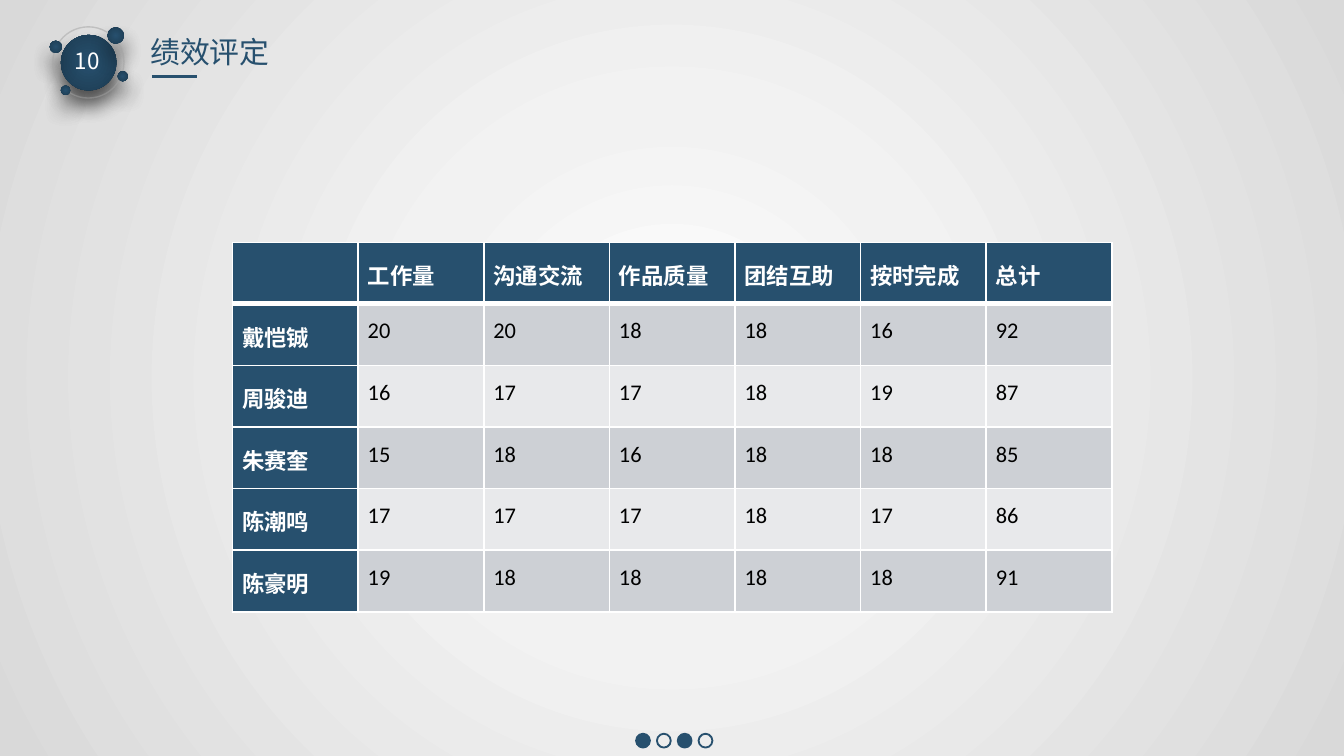
from dataclasses import dataclass

from lxml.etree import SubElement
from pptx import Presentation
from pptx.dml.color import RGBColor
from pptx.enum.shapes import MSO_CONNECTOR, MSO_SHAPE
from pptx.enum.text import MSO_AUTO_SIZE, PP_ALIGN
from pptx.oxml import parse_xml
from pptx.oxml.ns import nsdecls, qn
from pptx.util import Emu, Inches, Pt


@dataclass(frozen=True)
class Theme:
    navy: str = "27506E"
    deep_navy: str = "1D3C52"
    white: str = "FFFFFF"
    black: str = "000000"
    ring: str = "BFBFBF"
    bands: tuple = ("CDD0D5", "E8E9EB")
    backdrop: tuple = ((0, "FFFFFF"), (35, "F2F2F2"), (100, "D9D9D9"))
    heading_font: str = "Noto Sans CJK SC"
    table_font: str = "Calibri"
    title_size: int = 16
    body_size: int = 12


@dataclass(frozen=True)
class Circle:
    left: float
    top: float
    diameter: float


THEME = Theme()
SLIDE_WIDTH = Inches(10)
SLIDE_HEIGHT = Emu(SLIDE_WIDTH * 9 // 16)
BADGE_RING = Circle(3.93, 2, 5.3)
BADGE_BUBBLES = (
    Circle(4.53, 2.6, 4.13),
    Circle(8, 2.03, 1.23),
    Circle(3.7, 3.03, 0.9),
    Circle(4.53, 6.37, 0.7),
    Circle(8.75, 5.3, 0.75),
)
PAGE_DOTS = (True, False, True, False)
HEADERS = ("", "工作量", "沟通交流", "作品质量", "团结互助", "按时完成", "总计")
SCORES = {
    "戴恺铖": (20, 20, 18, 18, 16),
    "周骏迪": (16, 17, 17, 18, 19),
    "朱赛奎": (15, 18, 16, 18, 18),
    "陈潮鸣": (17, 17, 17, 18, 17),
    "陈豪明": (19, 18, 18, 18, 18),
}


def share(percent: float) -> Emu:
    """Turn a percentage of the slide width into a length."""
    return Emu(round(SLIDE_WIDTH * percent / 100))


def color(value: str) -> RGBColor:
    """Turn a hex value into a colour."""
    return RGBColor.from_string(value)


def apply_radial_gradient(element, stops: tuple) -> None:
    """Replace the solid fill of an element with a centred radial gradient."""
    stop_list = "".join(
        f'<a:gs pos="{position * 1000}"><a:srgbClr val="{value}"/></a:gs>'
        for position, value in stops
    )
    gradient = parse_xml(
        f'<a:gradFill {nsdecls("a")} rotWithShape="1"><a:gsLst>{stop_list}</a:gsLst>'
        '<a:path path="circle"><a:fillToRect l="50000" t="50000" r="50000" b="50000"/>'
        "</a:path></a:gradFill>"
    )
    solid = element.find(qn("a:solidFill"))
    element.replace(solid, gradient)


def draw_circle(slide, circle: Circle, line: str | None = None, width: float = 1,
                fill: str | None = None):
    """Draw a flat circle with an optional outline and fill."""
    diameter = share(circle.diameter)
    shape = slide.shapes.add_shape(
        MSO_SHAPE.OVAL, share(circle.left), share(circle.top), diameter, diameter
    )
    shape.shadow.inherit = False
    if fill:
        shape.fill.solid()
        shape.fill.fore_color.rgb = color(fill)
    else:
        shape.fill.background()
    if line:
        shape.line.color.rgb = color(line)
        shape.line.width = Pt(width)
    else:
        shape.line.fill.background()
    return shape


def draw_bubbles(slide) -> None:
    """Draw the shaded badge circles with soft shadows below them."""
    for bubble in BADGE_BUBBLES:
        shape = draw_circle(slide, bubble, fill=THEME.navy)
        properties = shape.element.spPr
        apply_radial_gradient(properties, ((0, THEME.navy), (100, THEME.deep_navy)))
        properties.find(qn("a:effectLst")).append(parse_xml(
            f'<a:outerShdw {nsdecls("a")} blurRad="{Pt(11)}" dist="{Pt(8)}" dir="5400000" '
            f'algn="t" rotWithShape="0"><a:srgbClr val="{THEME.black}">'
            '<a:alpha val="40000"/></a:srgbClr></a:outerShdw>'
        ))


def format_text(paragraph, font: str, size: float, value: str, bold: bool = False) -> None:
    """Format the runs of a paragraph for Latin and East Asian text."""
    for run in paragraph.runs:
        run.font.name = font
        run.font.size = Pt(size)
        run.font.bold = bold
        run.font.color.rgb = color(value)
        east_asian = SubElement(run.font._element, qn("a:ea"))
        east_asian.set("typeface", THEME.heading_font)


def draw_label(slide, text: str, left: float, top: float, width: float, height: float,
               size: float, value: str) -> None:
    """Draw a single-line label."""
    box = slide.shapes.add_textbox(share(left), share(top), share(width), share(height))
    frame = box.text_frame
    frame.text = text
    frame.word_wrap = False
    frame.auto_size = MSO_AUTO_SIZE.SHAPE_TO_FIT_TEXT
    format_text(frame.paragraphs[0], THEME.heading_font, size, value)


def draw_underline(slide) -> None:
    """Draw the short rule below the title."""
    connector = slide.shapes.add_connector(
        MSO_CONNECTOR.STRAIGHT, share(11.3), share(5.7), share(14.65), share(5.7)
    )
    connector.line.color.rgb = color(THEME.navy)
    connector.line.width = Pt(1.5)
    SubElement(connector.element.spPr, qn("a:effectLst"))


def format_cell(cell, row: int, column: int) -> None:
    """Give a cell its borders, fill, margins and text format."""
    heading = row == 0 or column == 0
    widths = {"L": 1, "R": 1, "T": 3 if row == 1 else 1, "B": 3 if row == 0 else 1}
    properties = cell._tc.get_or_add_tcPr()
    for side, width in widths.items():
        properties.append(parse_xml(
            f'<a:ln{side} {nsdecls("a")} w="{Pt(width)}"><a:solidFill>'
            f'<a:srgbClr val="{THEME.white}"/></a:solidFill></a:ln{side}>'
        ))
    cell.fill.solid()
    cell.fill.fore_color.rgb = color(THEME.navy if heading else THEME.bands[(row - 1) % 2])
    cell.margin_left = cell.margin_right = share(0.72)
    cell.margin_top = cell.margin_bottom = 0
    paragraph = cell.text_frame.paragraphs[0]
    paragraph.alignment = PP_ALIGN.JUSTIFY
    paragraph.line_spacing = 1.5
    value = THEME.white if heading else THEME.black
    format_text(paragraph, THEME.table_font, THEME.body_size, value, heading)


def draw_score_table(slide) -> None:
    """Draw the score table with a total for each member."""
    rows = [HEADERS] + [(name, *marks, sum(marks)) for name, marks in SCORES.items()]
    table = slide.shapes.add_table(
        len(rows), len(HEADERS), share(17.3), share(18.03), share(65.45), share(27.5)
    ).table
    table.first_col = True
    for row, values in enumerate(rows):
        for column, value in enumerate(values):
            cell = table.cell(row, column)
            cell.text_frame.text = str(value)
            format_cell(cell, row, column)


def main() -> None:
    """Build and save the slide."""
    presentation = Presentation()
    presentation.slide_width = SLIDE_WIDTH
    presentation.slide_height = SLIDE_HEIGHT
    slide = presentation.slides.add_slide(presentation.slide_layouts[6])
    slide.background.fill.solid()
    apply_radial_gradient(slide.element.find(f".//{qn('p:bgPr')}"), THEME.backdrop)
    draw_bubbles(slide)
    for index, filled in enumerate(PAGE_DOTS):
        dot = Circle(47.33 + 1.55 * index, 54.6, 1.03)
        draw_circle(slide, dot, THEME.navy, fill=THEME.navy if filled else None)
    draw_label(slide, "绩效评定", 10.2, 2, 11, 3.7, THEME.title_size, THEME.navy)
    draw_underline(slide)
    draw_circle(slide, BADGE_RING, THEME.ring, 0.75)
    draw_bubbles(slide)
    draw_label(slide, "10", 4.6, 3, 4, 3, THEME.body_size, THEME.white)
    draw_score_table(slide)
    presentation.save("out.pptx")


if __name__ == "__main__":
    main()
